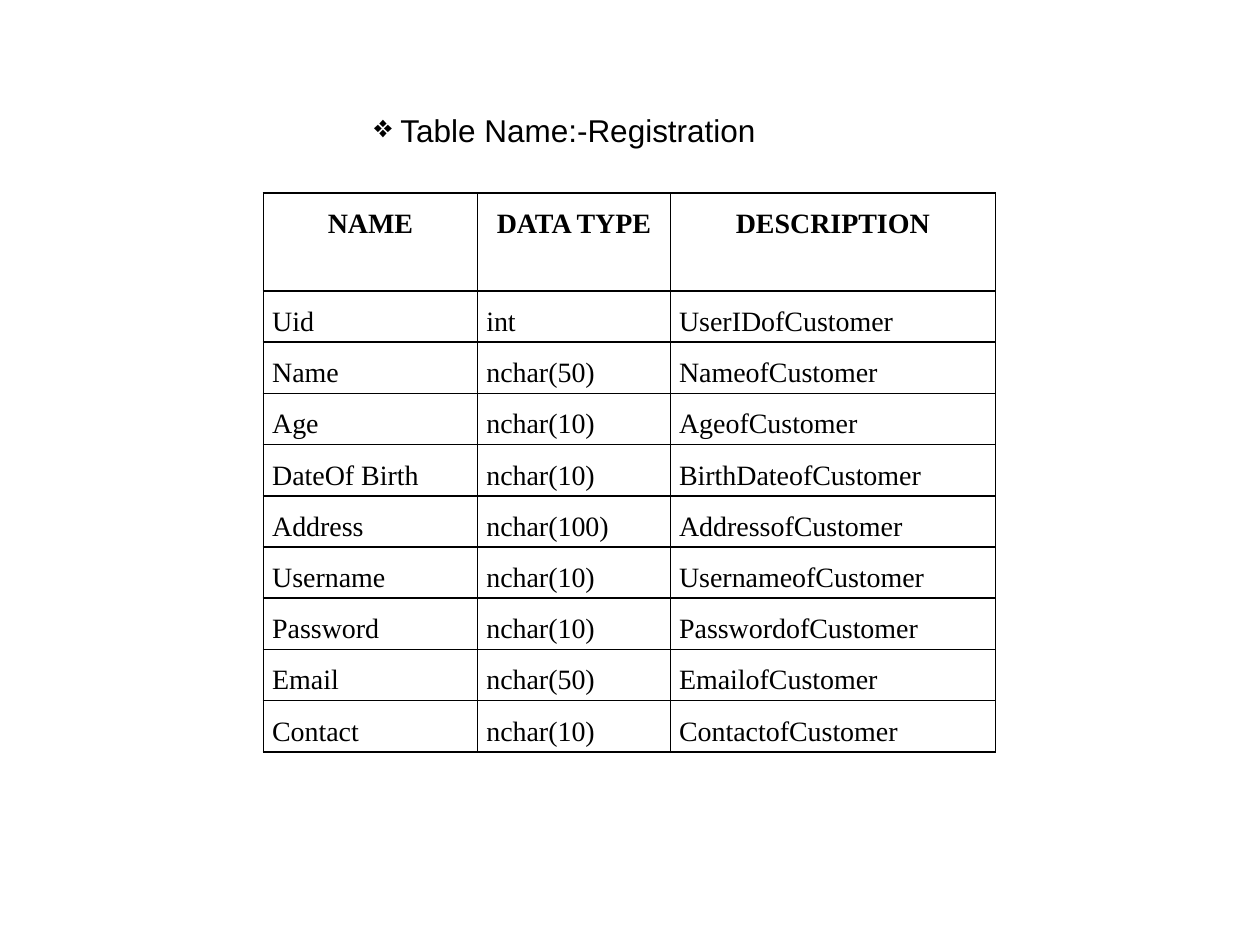
from typing import NamedTuple

from pptx import Presentation
from pptx.dml.color import RGBColor
from pptx.enum.text import MSO_ANCHOR, MSO_AUTO_SIZE, PP_ALIGN
from pptx.oxml.ns import qn
from pptx.util import Inches, Pt
from lxml.etree import SubElement

BLACK = RGBColor(0x00, 0x00, 0x00)
HEADINGS = ("NAME", "DATA TYPE", "DESCRIPTION")
COLUMN_WIDTHS = (1.7, 1.53, 2.58)
TABLE_HEIGHT = 4.44
HEADER_HEIGHT = 0.78
CELL_FORMAT = {
    "margin_left": Inches(0.07),
    "margin_right": Inches(0.07),
    "margin_top": 0,
    "margin_bottom": 0,
}


class Field(NamedTuple):
    name: str
    data_type: str
    description: str


FIELDS = (
    Field("Uid", "int", "UserIDofCustomer"),
    Field("Name", "nchar(50)", "NameofCustomer"),
    Field("Age", "nchar(10)", "AgeofCustomer"),
    Field("DateOf Birth", "nchar(10)", "BirthDateofCustomer"),
    Field("Address", "nchar(100)", "AddressofCustomer"),
    Field("Username", "nchar(10)", "UsernameofCustomer"),
    Field("Password", "nchar(10)", "PasswordofCustomer"),
    Field("Email", "nchar(50)", "EmailofCustomer"),
    Field("Contact", "nchar(10)", "ContactofCustomer"),
)


def set_font(font, name: str, size: float, bold: bool = False) -> None:
    for key, value in {"name": name, "size": Pt(size), "bold": bold}.items():
        setattr(font, key, value)
    font.color.rgb = BLACK


def add_borders(cell) -> None:
    properties = cell._tc.get_or_add_tcPr()
    for side in ("lnL", "lnR", "lnT", "lnB"):
        line = SubElement(properties, qn(f"a:{side}"), w=str(Pt(1)))
        fill = SubElement(line, qn("a:solidFill"))
        SubElement(fill, qn("a:srgbClr"), val=str(BLACK))


def fill_cell(cell, text: str, is_header: bool) -> None:
    for key, value in CELL_FORMAT.items():
        setattr(cell, key, value)
    add_borders(cell)
    cell.fill.background()
    para = cell.text_frame.paragraphs[0]
    para.alignment = PP_ALIGN.CENTER if is_header else PP_ALIGN.JUSTIFY
    para.line_spacing = 1.5
    span = para.add_run()
    span.text = text
    set_font(span.font, "Times New Roman", 16, is_header)


def add_field_table(page) -> None:
    rows = (HEADINGS, *FIELDS)
    table = page.shapes.add_table(
        len(rows), len(HEADINGS), Inches(2.09), Inches(1.53),
        Inches(sum(COLUMN_WIDTHS)), Inches(TABLE_HEIGHT),
    ).table
    table.horz_banding = False
    for column, width in zip(table.columns, COLUMN_WIDTHS):
        column.width = Inches(width)
    field_height = (TABLE_HEIGHT - HEADER_HEIGHT) / len(FIELDS)
    for row_index, texts in enumerate(rows):
        is_header = row_index == 0
        row = table.rows[row_index]
        row.height = Inches(HEADER_HEIGHT if is_header else field_height)
        for cell, text in zip(row.cells, texts):
            fill_cell(cell, text, is_header)


def add_table_title(page) -> None:
    box = page.shapes.add_textbox(Inches(1.75), Inches(0.83), Inches(4.38), Inches(0.4))
    frame = box.text_frame
    frame_format = {
        "word_wrap": True,
        "auto_size": MSO_AUTO_SIZE.SHAPE_TO_FIT_TEXT,
        "vertical_anchor": MSO_ANCHOR.MIDDLE,
    }
    for key, value in frame_format.items():
        setattr(frame, key, value)
    para = frame.paragraphs[0]
    para.level = 2
    properties = para._p.get_or_add_pPr()
    properties.set("marL", str(Inches(1)))
    properties.set("indent", str(Inches(0.12)))
    SubElement(properties, qn("a:buChar"), char="❖")
    span = para.add_run()
    span.text = " Table Name:-Registration"
    set_font(span.font, "Arial", 18)


def main() -> None:
    deck = Presentation()
    deck.slide_width = Inches(10)
    deck.slide_height = Inches(7.5)
    page = deck.slides.add_slide(deck.slide_layouts[6])
    add_field_table(page)
    add_table_title(page)
    deck.save("out.pptx")


if __name__ == "__main__":
    main()
